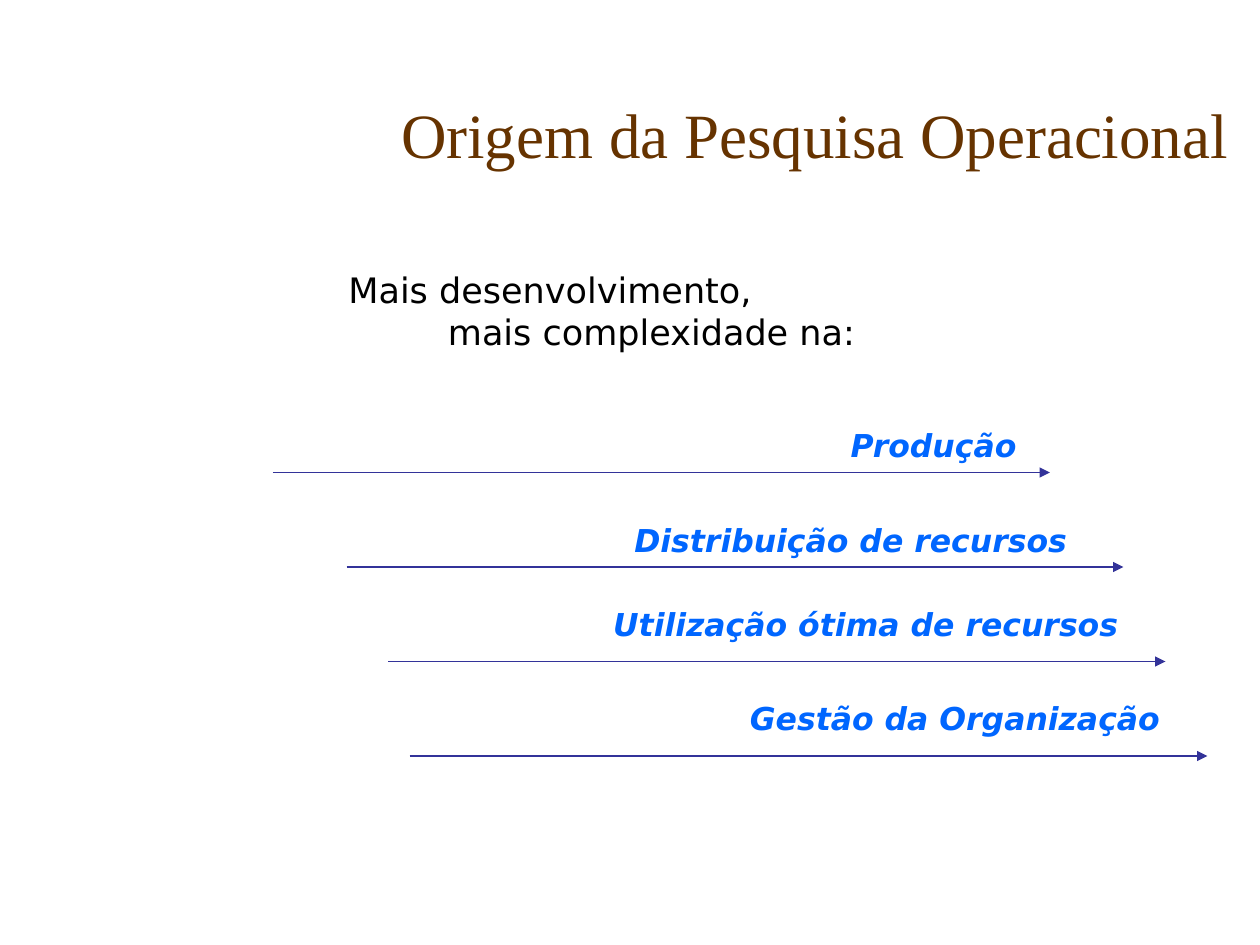
from lxml import etree
from pptx import Presentation
from pptx import util as u
from pptx.dml.color import RGBColor
from pptx.enum import shapes, text
from pptx.oxml.ns import qn

BROWN = RGBColor(0x66, 0x33, 0x00)
BLACK = RGBColor(0x00, 0x00, 0x00)
BLUE = RGBColor(0x00, 0x66, 0xFF)
NAVY = RGBColor(0x33, 0x33, 0x99)
CELL = u.Inches(10) / 120
LABEL_HEIGHT = 4.8
STEP = 9

# label, label column, row offset, width, right inset, line start, line end
ARROWS = [
    ("Produção", 44, 0, 54, 0.1, 26, 100),
    ("Distribuição de recursos", 43, 0, 62, 0.28, 33, 107),
    ("Utilização ótima de recursos", 48, -1, 62, 0.29, 37, 111),
    ("Gestão da Organização", 54, -1, 62, 0.46, 39, 115),
]


def grid(*cells):
    return [u.Emu(round(cell * CELL)) for cell in cells]


def write(box, words, *, font, size, color, bold=False, italic=False,
          align=text.PP_ALIGN.LEFT, anchor=text.MSO_ANCHOR.TOP,
          spacing=1.0, hanging=0, right_inset=0.1):
    frame = box.text_frame
    frame.word_wrap = True
    frame.auto_size = text.MSO_AUTO_SIZE.NONE
    frame.vertical_anchor = anchor
    frame.margin_left = u.Inches(0.1)
    frame.margin_right = u.Inches(right_inset)
    frame.margin_top = frame.margin_bottom = u.Inches(0.05)
    para = frame.paragraphs[0]
    para.alignment = align
    para.line_spacing = spacing
    if hanging:
        properties = para._p.get_or_add_pPr()
        properties.set("marL", str(u.Inches(hanging)))
        properties.set("indent", str(-u.Inches(hanging)))
    for index, line in enumerate(words.split("\n")):
        if index:
            para.add_line_break()
        span = para.add_run()
        span.text = line
        span.font.name = font
        span.font.size = u.Pt(size)
        span.font.bold = bold
        span.font.italic = italic
        span.font.color.rgb = color


def add_title(page, left, top, width, height):
    box = page.shapes.title
    box.left, box.top, box.width, box.height = grid(left, top, width, height)
    write(box, "Origem da Pesquisa Operacional", font="Times New Roman",
          size=36, color=BROWN, align=text.PP_ALIGN.RIGHT,
          anchor=text.MSO_ANCHOR.BOTTOM, spacing=0.85)


def add_lead(page, left, top, width, height):
    box = page.shapes.add_textbox(*grid(left, top, width, height))
    write(box, "Mais desenvolvimento,\nmais complexidade na:",
          font="DejaVu Sans", size=20, color=BLACK, hanging=0.79)


def add_arrow(page, start, end, row):
    arrow = page.shapes.add_connector(
        shapes.MSO_CONNECTOR.STRAIGHT, *grid(start, row, end, row))
    arrow.line.color.rgb = NAVY
    arrow.line.width = u.Pt(0.75)
    etree.SubElement(arrow.line._get_or_add_ln(), qn("a:tailEnd"), type="triangle")
    etree.SubElement(arrow._element.spPr, qn("a:effectLst"))


def add_arrows(page, left, top):
    for index, (label, column, shift, width, inset, start, end) in enumerate(ARROWS):
        row = top + index * STEP
        box = page.shapes.add_textbox(
            *grid(left + column, row + shift, width, LABEL_HEIGHT))
        write(box, label, font="DejaVu Sans", size=18, color=BLUE, bold=True,
              italic=True, align=text.PP_ALIGN.RIGHT, right_inset=inset)
        add_arrow(page, left + start, left + end, row + 5)


def main():
    deck = Presentation()
    deck.slide_width, deck.slide_height = grid(120, 90)
    page = deck.slides.add_slide(deck.slide_layouts[5])
    add_title(page, 16, 4.1, 102.2, 12.8)
    add_lead(page, 32, 25, 73, 9.2)
    add_arrows(page, 0, 40)
    deck.save("out.pptx")


if __name__ == "__main__":
    main()
